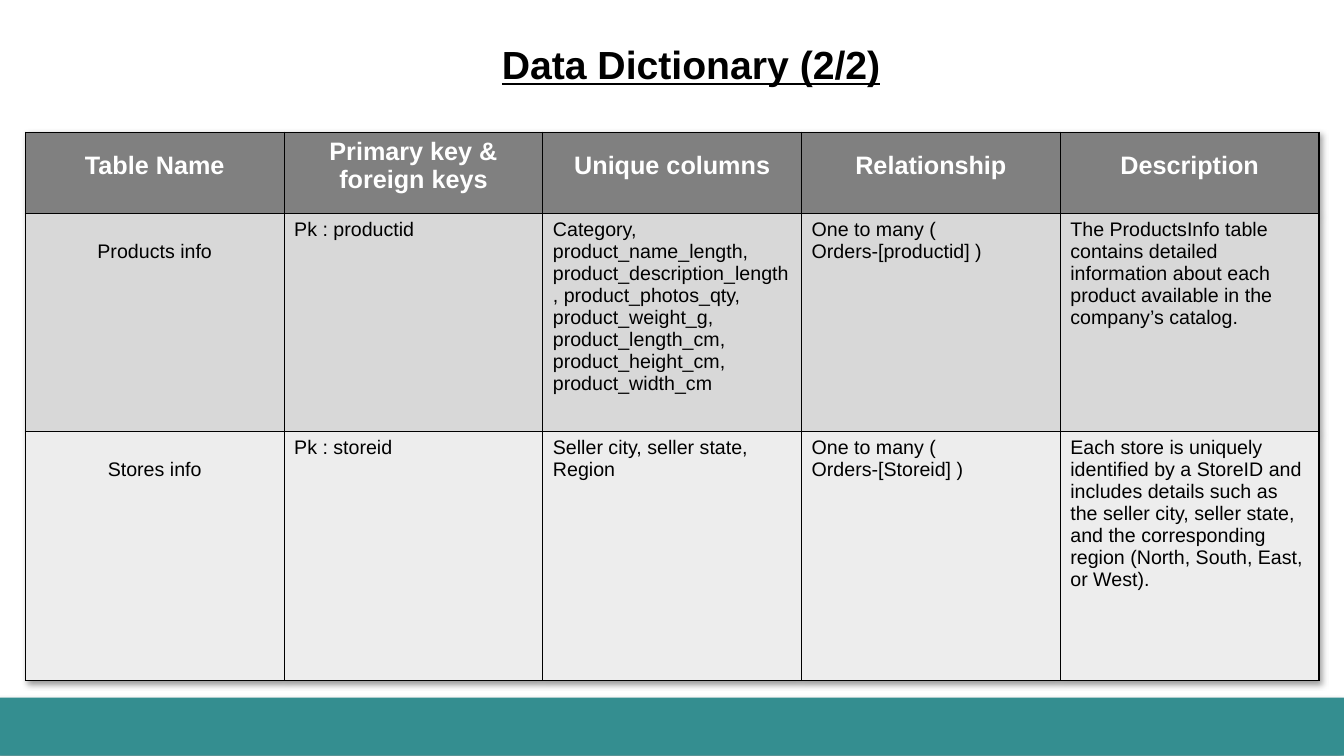
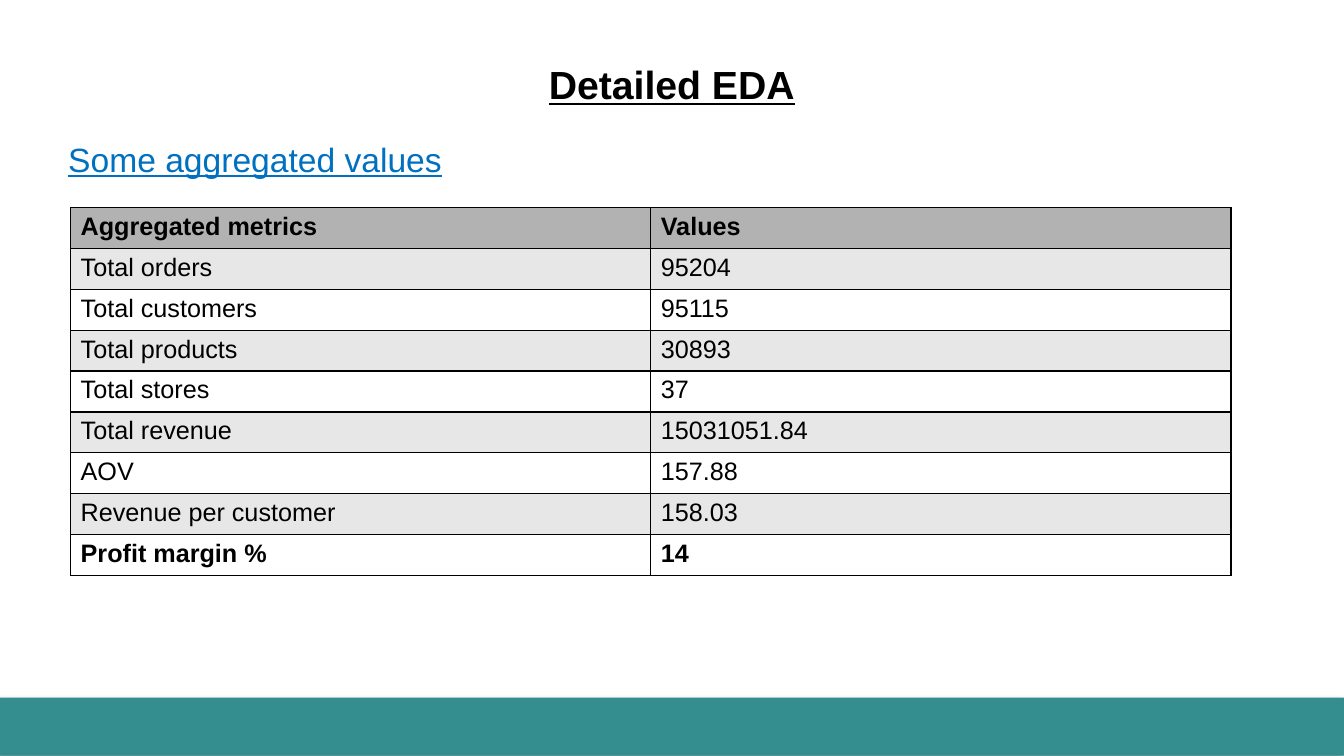
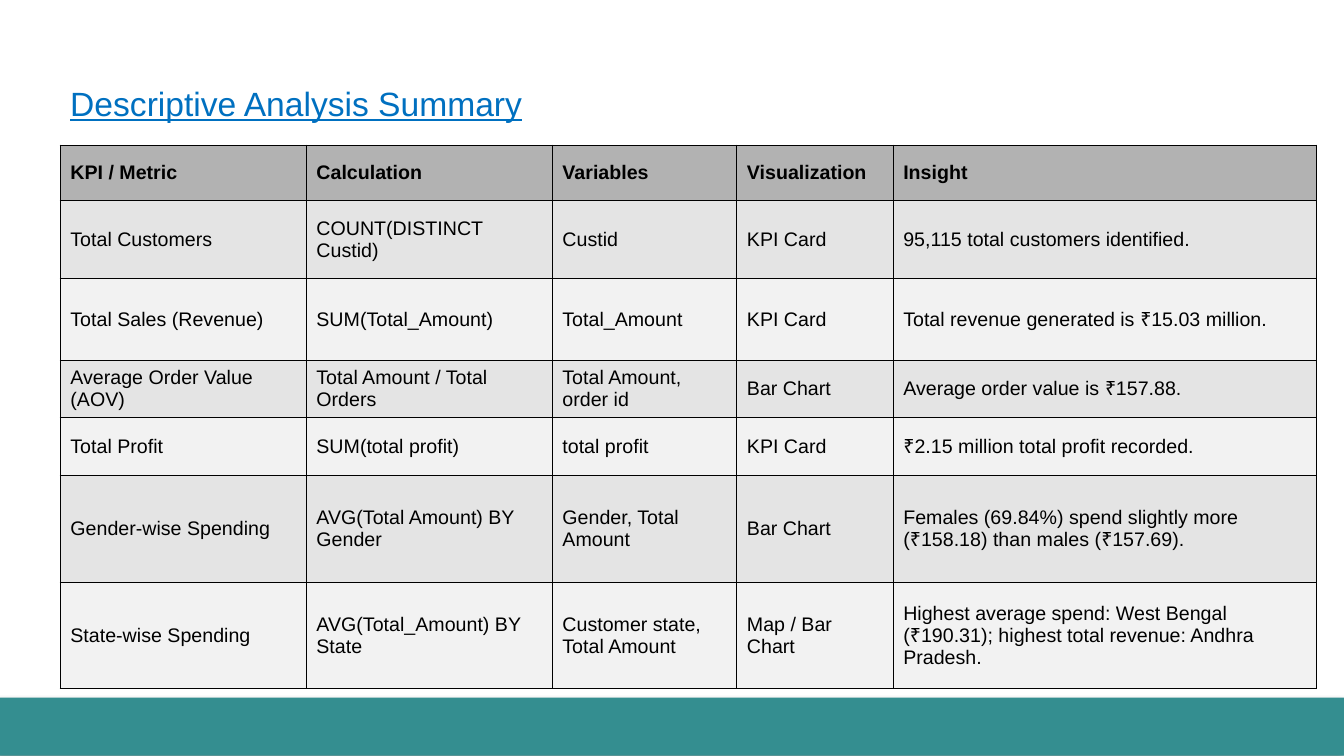
from dataclasses import dataclass

from lxml import etree
from pptx import Presentation
from pptx.dml.color import RGBColor
from pptx.enum.shapes import MSO_SHAPE
from pptx.enum.text import MSO_ANCHOR, MSO_AUTO_SIZE, PP_ALIGN
from pptx.oxml import parse_xml
from pptx.oxml.ns import nsdecls, qn
from pptx.util import Cm, Pt

RECTANGLE = MSO_SHAPE.RECTANGLE
TOP, MIDDLE = MSO_ANCHOR.TOP, MSO_ANCHOR.MIDDLE
LEFT, CENTER = PP_ALIGN.LEFT, PP_ALIGN.CENTER
FIT_TEXT = MSO_AUTO_SIZE.SHAPE_TO_FIT_TEXT


@dataclass(frozen=True)
class Theme:
    font: str = "Arial"
    ink: str = "000000"
    white: str = "FFFFFF"
    link_blue: str = "0070C0"
    band_teal: str = "348E90"
    title_size: int = 28
    subtitle_size: int = 24
    large_size: int = 18
    small_size: int = 14


THEME = Theme()


@dataclass(frozen=True)
class TableLook:
    header_fill: str
    header_color: str
    row_fills: tuple
    header_size: int
    body_size: int
    anchor: MSO_ANCHOR = TOP


DICTIONARY_LOOK = TableLook("808080", THEME.white, ("D8D8D8", "EDEDED"),
                            THEME.large_size, THEME.small_size)
METRICS_LOOK = TableLook("B2B2B2", THEME.ink, ("E7E7E7", THEME.white),
                         THEME.large_size, THEME.large_size)
SUMMARY_LOOK = TableLook("B2B2B2", THEME.ink, ("E4E4E4", "F2F2F2"),
                         THEME.small_size, THEME.small_size, MIDDLE)

DICTIONARY_ROWS = [
    ["Table Name", "Primary key & foreign keys", "Unique columns", "Relationship",
     "Description"],
    ["Products info", "Pk : productid",
     "Category, product_name_length, product_description_length, "
     "product_photos_qty, product_weight_g, product_length_cm, "
     "product_height_cm, product_width_cm",
     "One to many (\nOrders-[productid] )",
     "The ProductsInfo table contains detailed information about each product "
     "available in the company’s catalog."],
    ["Stores info", "Pk : storeid", "Seller city, seller state, Region",
     "One to many (\nOrders-[Storeid] )",
     "Each store is uniquely identified by a StoreID and includes details such as "
     "the seller city, seller state, and the corresponding region "
     "(North, South, East, or West)."],
]

METRICS_ROWS = [
    ["Aggregated metrics", "Values"],
    ["Total orders", "95204"],
    ["Total customers", "95115"],
    ["Total products", "30893"],
    ["Total stores", "37"],
    ["Total revenue", "15031051.84"],
    ["AOV", "157.88"],
    ["Revenue per customer", "158.03"],
    ["Profit margin %", "14"],
]

SUMMARY_ROWS = [
    ["KPI / Metric", "Calculation", "Variables", "Visualization", "Insight"],
    ["Total Customers", "COUNT(DISTINCT Custid)", "Custid", "KPI Card",
     "95,115 total customers identified."],
    ["Total Sales (Revenue)", "SUM(Total_Amount)", "Total_Amount", "KPI Card",
     "Total revenue generated is ₹15.03 million."],
    ["Average Order Value (AOV)", "Total Amount / Total Orders",
     "Total Amount, order id", "Bar Chart", "Average order value is ₹157.88."],
    ["Total Profit", "SUM(total profit)", "total profit", "KPI Card",
     "₹2.15 million total profit recorded."],
    ["Gender-wise Spending", "AVG(Total Amount) BY Gender", "Gender, Total Amount",
     "Bar Chart",
     "Females (69.84%) spend slightly more (₹158.18) than males (₹157.69)."],
    ["State-wise Spending", "AVG(Total_Amount) BY State",
     "Customer state, Total Amount", "Map / Bar Chart",
     "Highest average spend: West Bengal (₹190.31); highest total revenue: "
     "Andhra Pradesh."],
]


def add_run(paragraph, text, size, color, bold=False, underline=False):
    run = paragraph.add_run()
    run.text = text
    font = run.font
    font.name, font.size = THEME.font, Pt(size)
    font.bold, font.underline = bold, underline
    font.color.rgb = RGBColor.from_string(color)


def add_outer_shadow(effects, degrees):
    """Put a soft 40 % shadow, thrown at the given angle, into an effect list."""
    shadow = etree.SubElement(effects, qn("a:outerShdw"), blurRad=str(Pt(4)),
                              dist=str(Pt(3)), dir=str(degrees * 60000),
                              rotWithShape="0")
    color = etree.SubElement(shadow, qn("a:srgbClr"), val=THEME.ink)
    etree.SubElement(color, qn("a:alpha"), val="40000")


def add_slide(prs):
    """Add a blank slide with the teal band along its foot."""
    slide = prs.slides.add_slide(prs.slide_layouts[6])
    band = slide.shapes.add_shape(RECTANGLE, 0, Cm(17.58), prs.slide_width, Cm(1.46))
    band.fill.solid()
    band.fill.fore_color.rgb = RGBColor.from_string(THEME.band_teal)
    band.line.fill.background()
    band.shadow.inherit = False
    add_outer_shadow(band.element.spPr.find(qn("a:effectLst")), 135)
    return slide


def add_heading(slide, text, left, top, width, height, size, color, bold, align=LEFT):
    box = slide.shapes.add_textbox(Cm(left), Cm(top), Cm(width), Cm(height))
    frame = box.text_frame
    frame.word_wrap = False
    frame.auto_size = FIT_TEXT
    paragraph = frame.paragraphs[0]
    paragraph.alignment = align
    add_run(paragraph, text, size, color, bold, underline=True)


def add_title(slide, text, left, top, width):
    add_heading(slide, text, left, top, width, 1.45, THEME.title_size, THEME.ink,
                bold=True, align=CENTER)


def add_subtitle(slide, text, left, top, width):
    add_heading(slide, text, left, top, width, 1.27, THEME.subtitle_size,
                THEME.link_blue, bold=False)


def set_borders(cell):
    properties = cell._tc.get_or_add_tcPr()
    for side in ("lnL", "lnR", "lnT", "lnB"):
        properties.append(parse_xml(
            f'<a:{side} {nsdecls("a")} w="{Pt(1)}"><a:solidFill>'
            f'<a:srgbClr val="{THEME.ink}"/></a:solidFill></a:{side}>'))


def fill_cell(cell, text, fill, size, color, bold, anchor):
    set_borders(cell)
    cell.fill.solid()
    cell.fill.fore_color.rgb = RGBColor.from_string(fill)
    cell.vertical_anchor = anchor
    frame = cell.text_frame
    for index, line in enumerate(text.split("\n")):
        paragraph = frame.add_paragraph() if index else frame.paragraphs[0]
        add_run(paragraph, line, size, color, bold)


def add_table(slide, left, top, widths, heights, rows, look, bold_rows=(0,)):
    frame = slide.shapes.add_table(len(rows), len(widths), Cm(left), Cm(top),
                                   Cm(sum(widths)), Cm(sum(heights)))
    table = frame.table
    for column, width in zip(table.columns, widths):
        column.width = Cm(width)
    for index, (row, height, texts) in enumerate(zip(table.rows, heights, rows)):
        row.height = Cm(height)
        if index == 0:
            fill, size, color = look.header_fill, look.header_size, look.header_color
        else:
            fill = look.row_fills[(index - 1) % len(look.row_fills)]
            size, color = look.body_size, THEME.ink
        for cell, text in zip(row.cells, texts):
            fill_cell(cell, text, fill, size, color, index in bold_rows, look.anchor)
    return table


def center_cell(cell, line_spacing):
    paragraph = cell.text_frame.paragraphs[0]
    paragraph.alignment = CENTER
    paragraph.line_spacing = line_spacing


def add_table_shadow(table):
    properties = table._tbl.tblPr
    effects = parse_xml(f'<a:effectLst {nsdecls("a")}/>')
    properties.insert(0, effects)
    add_outer_shadow(effects, 45)


def build_data_dictionary(prs):
    slide = add_slide(prs)
    table = add_table(slide, 0.64, 3.33, [6.52] * 5, [2.06, 5.49, 6.27],
                      DICTIONARY_ROWS, DICTIONARY_LOOK)
    add_table_shadow(table)
    for column in range(5):
        center_cell(table.cell(0, column), 1.0 if column == 1 else 1.5)
    for row in (1, 2):
        center_cell(table.cell(row, 0), 2.0)
    add_title(slide, "Data Dictionary (2/2)", 12.32, 0.89, 10.19)


def build_detailed_eda(prs):
    slide = add_slide(prs)
    add_title(slide, "Detailed EDA", 13.54, 1.4, 6.78)
    add_table(slide, 1.78, 5.23, [14.62] * 2, [1.03] * 9, METRICS_ROWS, METRICS_LOOK,
              bold_rows=(0, 8))
    add_subtitle(slide, "Some aggregated values", 1.47, 3.38, 10.03)


def build_analysis_summary(prs):
    slide = add_slide(prs)
    add_table(slide, 1.52, 3.66, [6.2, 6.2, 4.65, 3.94, 10.67],
              [1.4, 1.96, 2.06, 1.45, 1.45, 2.69, 2.69], SUMMARY_ROWS, SUMMARY_LOOK)
    add_subtitle(slide, "Descriptive Analysis Summary", 1.52, 1.96, 12.01)


def main():
    prs = Presentation()
    prs.slide_width, prs.slide_height = Cm(33.87), Cm(19.05)
    build_data_dictionary(prs)
    build_detailed_eda(prs)
    build_analysis_summary(prs)
    prs.save("out.pptx")


if __name__ == "__main__":
    main()
